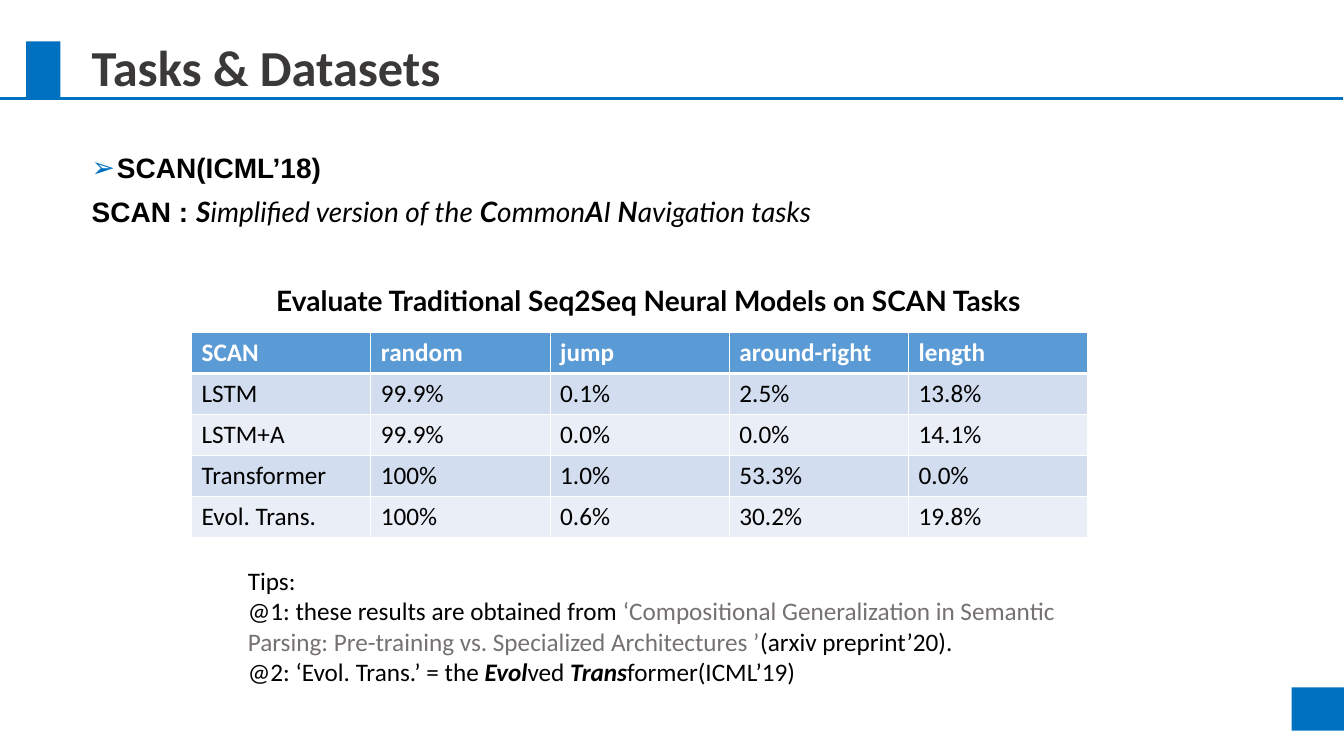
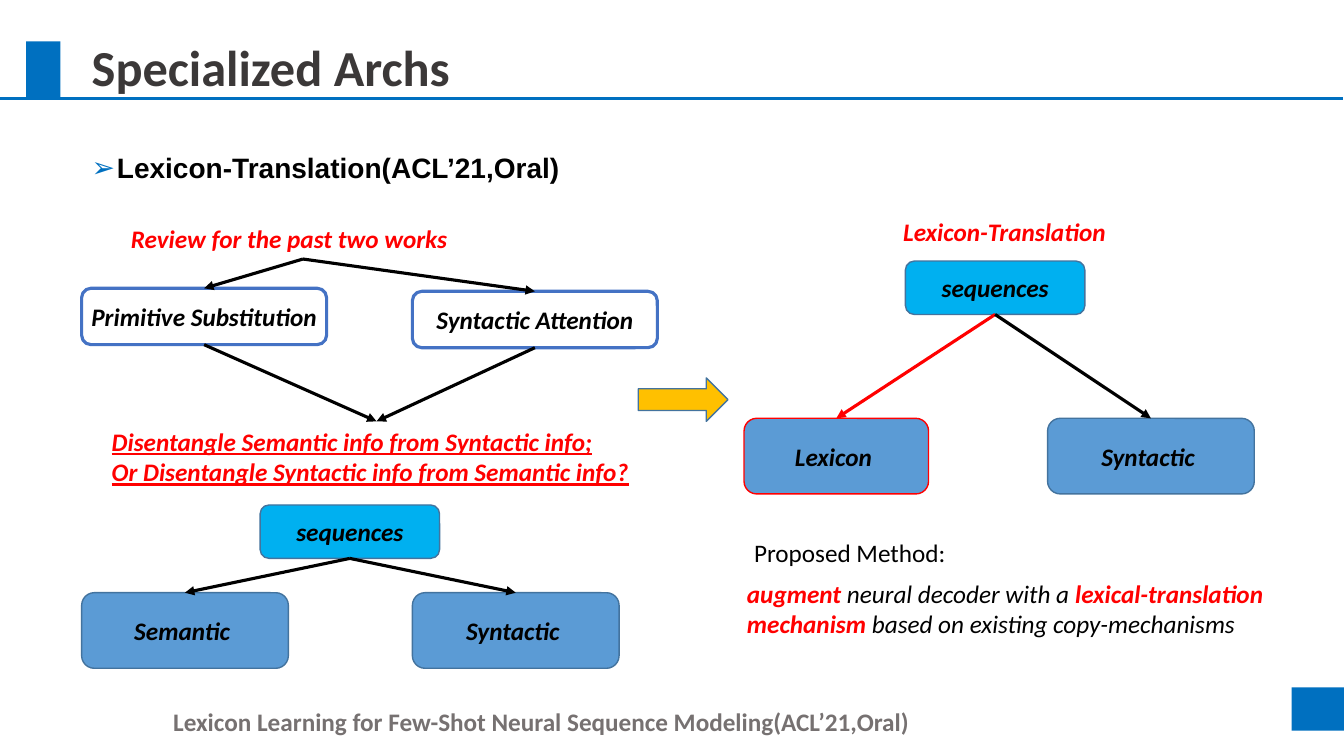
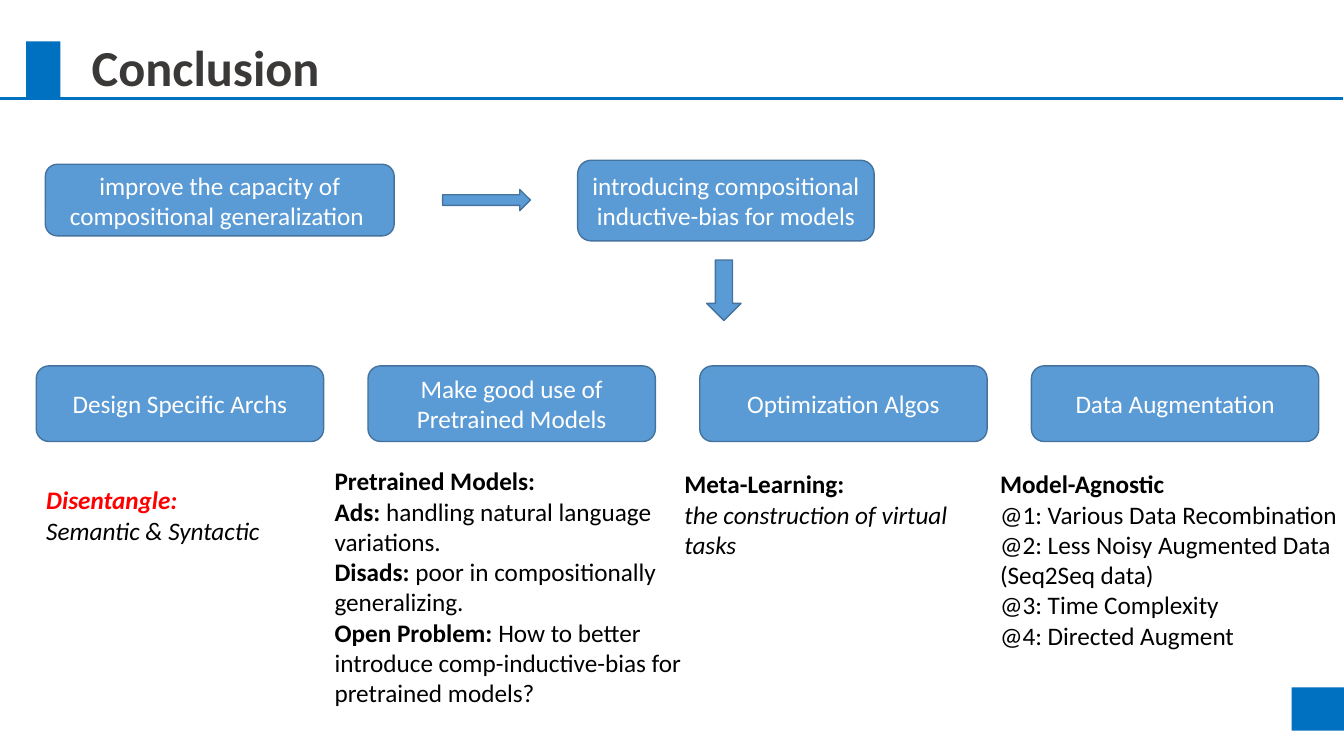
import pptx
import pptx.dml.color
import pptx.enum.shapes
import pptx.enum.text
import pptx.oxml
import pptx.util

Inches = pptx.util.Inches
Pt = pptx.util.Pt
RGBColor = pptx.dml.color.RGBColor
SHAPES = pptx.enum.shapes.MSO_SHAPE
ALIGN = pptx.enum.text.PP_ALIGN
AUTO_SIZE = pptx.enum.text.MSO_AUTO_SIZE
DRAWING = "http://schemas.openxmlformats.org/drawingml/2006/main"

# Colours
BAND = RGBColor(0x00, 0x70, 0xC0)
TITLE = RGBColor(0x3B, 0x38, 0x38)
BLACK = RGBColor(0x00, 0x00, 0x00)
WHITE = RGBColor(0xFF, 0xFF, 0xFF)
RED = RGBColor(0xFF, 0x00, 0x00)
GREY = RGBColor(0x76, 0x71, 0x71)
BLUE = RGBColor(0x5B, 0x9B, 0xD5)
EDGE = RGBColor(0x43, 0x73, 0x9E)
OUTLINE = RGBColor(0x44, 0x72, 0xC4)
CYAN = RGBColor(0x00, 0xB0, 0xF0)
ORANGE = RGBColor(0xFF, 0xC0, 0x00)
ROW_FILLS = [RGBColor(0xEA, 0xEF, 0xF7), RGBColor(0xD2, 0xDE, 0xEF)]

# Text formats
PLAIN = dict(name="Calibri", size=Pt(18), color=BLACK, bold=False, italic=False)
BOLD = dict(PLAIN, bold=True)
ITALIC = dict(PLAIN, italic=True)
STRONG = dict(BOLD, italic=True)
STRONG_RED = dict(STRONG, color=RED)
NODE_WHITE = dict(PLAIN, color=WHITE)
HEADING = dict(BOLD, name="Arial", size=Pt(20))
LATO = dict(ITALIC, name="Lato", size=Pt(20))
LATO_BOLD = dict(LATO, bold=True)


def add_xml(parent, tag, **attributes):
    child = pptx.oxml.parse_xml(f'<a:{tag} xmlns:a="{DRAWING}"/>')
    for key, value in attributes.items():
        child.set(key, str(value))
    parent.append(child)
    return child


def place(shape, box):
    for side, value in zip(("left", "top", "width", "height"), box):
        setattr(shape, side, Inches(value))


def add_runs(paragraph, runs):
    for text, style in runs:
        run = paragraph.add_run()
        run.text = text
        for key, value in style.items():
            if key == "color":
                run.font.color.rgb = value
            else:
                setattr(run.font, key, value)


def write(frame, paragraphs):
    """Fill a text frame; each paragraph is a list of (text, format) runs."""
    for index, runs in enumerate(paragraphs):
        paragraph = frame.add_paragraph() if index else frame.paragraphs[0]
        add_runs(paragraph, runs)


def add_text(slide, box, paragraphs, margin_right=0.1):
    shape = slide.shapes.add_textbox(*map(Inches, box))
    frame = shape.text_frame
    frame.word_wrap = True
    frame.auto_size = AUTO_SIZE.SHAPE_TO_FIT_TEXT
    frame.margin_right = Inches(margin_right)
    write(frame, paragraphs)
    return shape


def add_block(slide, kind, box, fill=BLUE, line=EDGE, weight=1):
    shape = slide.shapes.add_shape(kind, *map(Inches, box))
    shape.shadow.inherit = False
    if fill is None:
        shape.fill.background()
    else:
        shape.fill.solid()
        shape.fill.fore_color.rgb = fill
    if line is None:
        shape.line.fill.background()
    else:
        shape.line.color.rgb = line
        shape.line.width = Pt(weight)
    return shape


def add_node(slide, box, text, style, margin=0.1, **look):
    node = add_block(slide, SHAPES.ROUNDED_RECTANGLE, box, **look)
    frame = node.text_frame
    frame.word_wrap = True
    frame.margin_left = frame.margin_right = Inches(margin)
    write(frame, [[(text, style)]])
    frame.paragraphs[0].alignment = ALIGN.CENTER
    return node


def add_line(slide, start, end, color, weight):
    line = slide.shapes.add_connector(pptx.enum.shapes.MSO_CONNECTOR.STRAIGHT,
                                      *map(Inches, start + end))
    line.line.color.rgb = color
    line.line.width = Pt(weight)
    add_xml(line.element.spPr, "effectLst")
    return line


def add_arrow(slide, source, target, color=BLACK):
    """Arrow from the bottom of source to the top of target."""
    arrow = add_line(slide, (0, 0), (1, 1), color, 2.25)
    arrow.begin_connect(source, 2)
    arrow.end_connect(target, 0)
    add_xml(arrow.element.xpath("p:spPr/a:ln")[0], "tailEnd", type="triangle")


def add_master_bands(presentation, slide):
    """Draw the shared bands and move them to the master."""
    bands = [add_line(slide, (-0.02, 0.98), (13.32, 0.98), BAND, 2)]
    for box in ((0.26, 0.41, 0.34, 0.57), (12.81, 6.82, 0.52, 0.43)):
        bands.append(add_block(slide, SHAPES.RECTANGLE, box, BAND, None))
    for number, band in enumerate(bands, 100):
        band.element.xpath("./*/p:cNvPr")[0].set("id", str(number))
        presentation.slide_master.shapes.element.append(band.element)


def add_slide(presentation, layout, title):
    slide = presentation.slides.add_slide(presentation.slide_layouts[layout])
    shape = slide.shapes.title
    place(shape, (0.81, 0.34, 10.75, 0.71))
    frame = shape.text_frame
    frame.auto_size = AUTO_SIZE.NONE
    frame.vertical_anchor = pptx.enum.text.MSO_ANCHOR.MIDDLE
    write(frame, [[(title, dict(BOLD, size=Pt(36), color=TITLE))]])
    frame.paragraphs[0].alignment = ALIGN.LEFT
    frame.paragraphs[0].line_spacing = 0.9
    return slide


def fill_body(slide, box, paragraphs):
    """Body list: a bulleted heading, then plain (indent, space before, runs) lines."""
    body = slide.placeholders[1]
    place(body, box)
    frame = body.text_frame
    frame.auto_size = AUTO_SIZE.NONE
    for index, (indent, before, runs) in enumerate(paragraphs):
        paragraph = frame.add_paragraph() if index else frame.paragraphs[0]
        properties = paragraph._p.get_or_add_pPr()
        properties.set("marL", str(Inches(indent)))
        properties.set("indent", str(0 if index else -Inches(indent)))
        if index:
            add_xml(properties, "buNone")
        else:
            add_xml(add_xml(properties, "buClr"), "srgbClr", val=BAND)
            add_xml(properties, "buFont", typeface="Arial")
            add_xml(properties, "buChar", char="➢")
        paragraph.line_spacing = 0.9
        paragraph.space_before = Pt(before)
        add_runs(paragraph, runs)


def add_results_table(slide, box, rows):
    table = slide.shapes.add_table(len(rows), len(rows[0]), *map(Inches, box)).table
    for row_index, row in enumerate(rows):
        header = row_index == 0
        style = dict(BOLD, color=WHITE) if header else PLAIN
        for column_index, text in enumerate(row):
            cell = table.cell(row_index, column_index)
            properties = cell._tc.get_or_add_tcPr()
            for side in ("lnL", "lnR", "lnT", "lnB"):
                thick = (header and side == "lnB") or (row_index == 1 and side == "lnT")
                border = add_xml(properties, side, w=Pt(3 if thick else 1))
                add_xml(add_xml(border, "solidFill"), "srgbClr", val=WHITE)
            cell.fill.solid()
            cell.fill.fore_color.rgb = BLUE if header else ROW_FILLS[row_index % 2]
            write(cell.text_frame, [[(text, style)]])


def add_split(slide, left, top, root_offset, drop, children):
    """A 'sequences' node that splits into (offset, width, text, line, arrow) children."""
    root = add_node(slide, (left + root_offset, top, 1.78, 0.53), "sequences", STRONG, fill=CYAN)
    for offset, width, text, line, arrow in children:
        child = add_node(slide, (left + offset, top + drop, width, 0.75), text, STRONG, line=line)
        add_arrow(slide, root, child, arrow)


def add_review(slide, left, top):
    """Two earlier works that lead to one question."""
    heading = add_text(slide, (left + 0.39, top, 3.61, 0.4),
                       [[("Review for the past two works", STRONG_RED)]])
    underlined = dict(STRONG_RED, underline=True)
    question = add_text(slide, (left + 0.2, top + 2.01, 5.45, 0.71), [
        [("Disentangle Semantic info from Syntactic info;", underlined)],
        [("Or Disentangle Syntactic info from Semantic info?", underlined)]])
    works = ((0, 0.69, "Primitive Substitution"), (3.28, 0.72, "Syntactic Attention"))
    for x, y, text in works:
        work = add_node(slide, (left + x, top + y, 2.43, 0.56), text, STRONG,
                        margin=0, fill=None, line=OUTLINE, weight=2.25)
        add_arrow(slide, heading, work)
        add_arrow(slide, work, question)


def add_strategy(slide, left, top, title, note_box, note):
    """A strategy node with its note; note_box is relative to the node."""
    add_node(slide, (left, top, 2.85, 0.75), title, NODE_WHITE)
    x, y, width, height = note_box
    add_text(slide, (left + x, top + y, width, height), note, margin_right=0.05)


def build_datasets(presentation):
    slide = add_slide(presentation, 1, "Tasks & Datasets")
    add_master_bands(presentation, slide)
    fill_body(slide, (0.81, 1.48, 11.56, 1.75), [
        (0.25, 0, [("SCAN(ICML’18)", HEADING)]),
        (0, 10, [("SCAN : ", HEADING), ("S", LATO_BOLD), ("implified version of the ", LATO),
                 ("C", LATO_BOLD), ("ommon", LATO), ("A", LATO_BOLD), ("I ", LATO),
                 ("N", LATO_BOLD), ("avigation tasks", LATO)]),
        (1.83, 42, [("Evaluate Traditional Seq2Seq Neural Models on SCAN Tasks",
                     dict(LATO_BOLD, italic=False))])])
    add_results_table(slide, (1.9, 3.3, 8.89, 2.03), [
        ("SCAN", "random", "jump", "around-right", "length"),
        ("LSTM", "99.9%", "0.1%", "2.5%", "13.8%"),
        ("LSTM+A", "99.9%", "0.0%", "0.0%", "14.1%"),
        ("Transformer", "100%", "1.0%", "53.3%", "0.0%"),
        ("Evol. Trans.", "100%", "0.6%", "30.2%", "19.8%")])
    add_text(slide, (2.36, 5.56, 8.24, 1.31), [
        [("Tips:", PLAIN)],
        [("@1: these results are obtained from ", PLAIN),
         ("‘Compositional Generalization in Semantic Parsing: Pre-training vs. "
          "Specialized Architectures ’", dict(PLAIN, color=GREY)),
         ("(arxiv preprint’20).", PLAIN)],
        [("@2: ‘Evol. Trans.’ = the ", PLAIN), ("Evol", STRONG), ("ved ", PLAIN),
         ("Trans", STRONG), ("former(ICML’19)", PLAIN)]])


def build_architectures(presentation):
    slide = add_slide(presentation, 1, "Specialized Archs")
    fill_body(slide, (0.81, 1.48, 7.99, 0.6),
              [(0.25, 0, [("Lexicon-Translation(ACL’21,Oral)", HEADING)])])
    # Left: past works
    add_review(slide, 0.81, 2.17)
    add_split(slide, 0.81, 5.01, 1.77, 0.87, [
        (0, 2.05, "Semantic ", EDGE, BLACK), (3.28, 2.05, "Syntactic ", EDGE, BLACK)])
    add_block(slide, SHAPES.RIGHT_ARROW, (6.33, 3.75, 0.89, 0.43), ORANGE)
    # Right: proposed method
    add_text(slide, (8.86, 2.1, 2.31, 0.4), [[("Lexicon-Translation", STRONG_RED)]])
    add_split(slide, 7.38, 2.59, 1.6, 1.56, [
        (0, 1.83, "Lexicon ", RED, RED), (3.01, 2.05, "Syntactic ", EDGE, BLACK)])
    add_text(slide, (7.38, 5.28, 4.91, 0.4), [[("Proposed Method:", PLAIN)]])
    add_text(slide, (7.31, 5.69, 5.72, 0.71), [
        [("augment", STRONG_RED), (" neural decoder with a ", ITALIC),
         ("lexical-translation mechanism", STRONG_RED),
         (" based on existing copy-mechanisms", ITALIC)]])
    # Source paper
    add_text(slide, (1.62, 6.96, 7.7, 0.4),
             [[("Lexicon Learning for Few-Shot Neural Sequence Modeling(ACL’21,Oral)",
                dict(BOLD, color=GREY))]])


def build_conclusion(presentation):
    slide = add_slide(presentation, 5, "Conclusion")
    # Goal and means
    add_node(slide, (0.45, 1.63, 3.46, 0.71),
             "improve the capacity of compositional generalization ", NODE_WHITE)
    add_block(slide, SHAPES.RIGHT_ARROW, (4.39, 1.88, 0.87, 0.21))
    add_node(slide, (5.73, 1.59, 2.94, 0.8),
             "introducing compositional inductive-bias for models", NODE_WHITE)
    add_block(slide, SHAPES.DOWN_ARROW, (7.01, 2.58, 0.34, 0.6))
    # Four strategies
    strategies = [
        ("Design Specific Archs", (0, 1.13, 2.85, 0.71), [
            [("Disentangle:", STRONG_RED)], [("Semantic & Syntactic", ITALIC)]]),
        ("Make good use of Pretrained Models", (-0.43, 0.94, 3.79, 2.52), [
            [("Pretrained Models:", BOLD)],
            [("Ads: ", BOLD), ("handling natural language variations.", PLAIN)],
            [("Disads:", BOLD), (" poor in compositionally generalizing.", PLAIN)],
            [("Open Problem: ", BOLD),
             ("How to better introduce comp-inductive-bias for pretrained models?", PLAIN)]]),
        ("Optimization Algos", (-0.25, 0.97, 3.17, 1.01), [
            [("Meta-Learning:", BOLD)], [("the construction of virtual tasks", ITALIC)]]),
        ("Data Augmentation", (-0.41, 0.97, 3.51, 1.92), [
            [("Model-Agnostic", BOLD)],
            [("@1: Various Data Recombination", PLAIN)],
            [("@2: Less Noisy Augmented Data", PLAIN)],
            [("(Seq2Seq data)", PLAIN)],
            [("@3: Time Complexity", PLAIN)],
            [("@4: Directed Augment", PLAIN)]])]
    for column, (title, note_box, note) in enumerate(strategies):
        add_strategy(slide, 0.36 + column * 3.29, 3.63, title, note_box, note)


def main():
    presentation = pptx.Presentation()
    presentation.slide_width = Inches(13.33)
    presentation.slide_height = Inches(7.5)
    build_datasets(presentation)
    build_architectures(presentation)
    build_conclusion(presentation)
    presentation.save("out.pptx")


if __name__ == "__main__":
    main()
